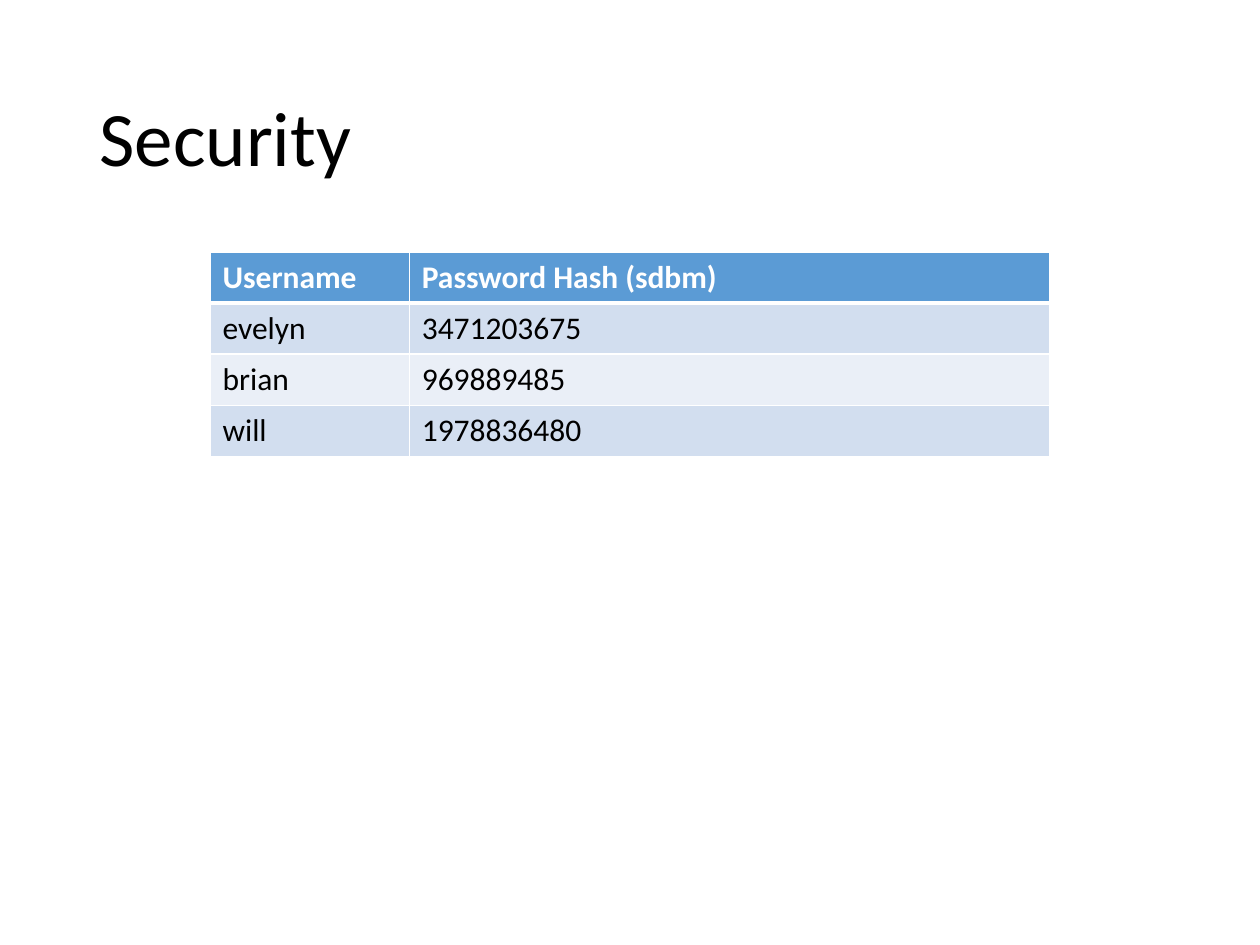
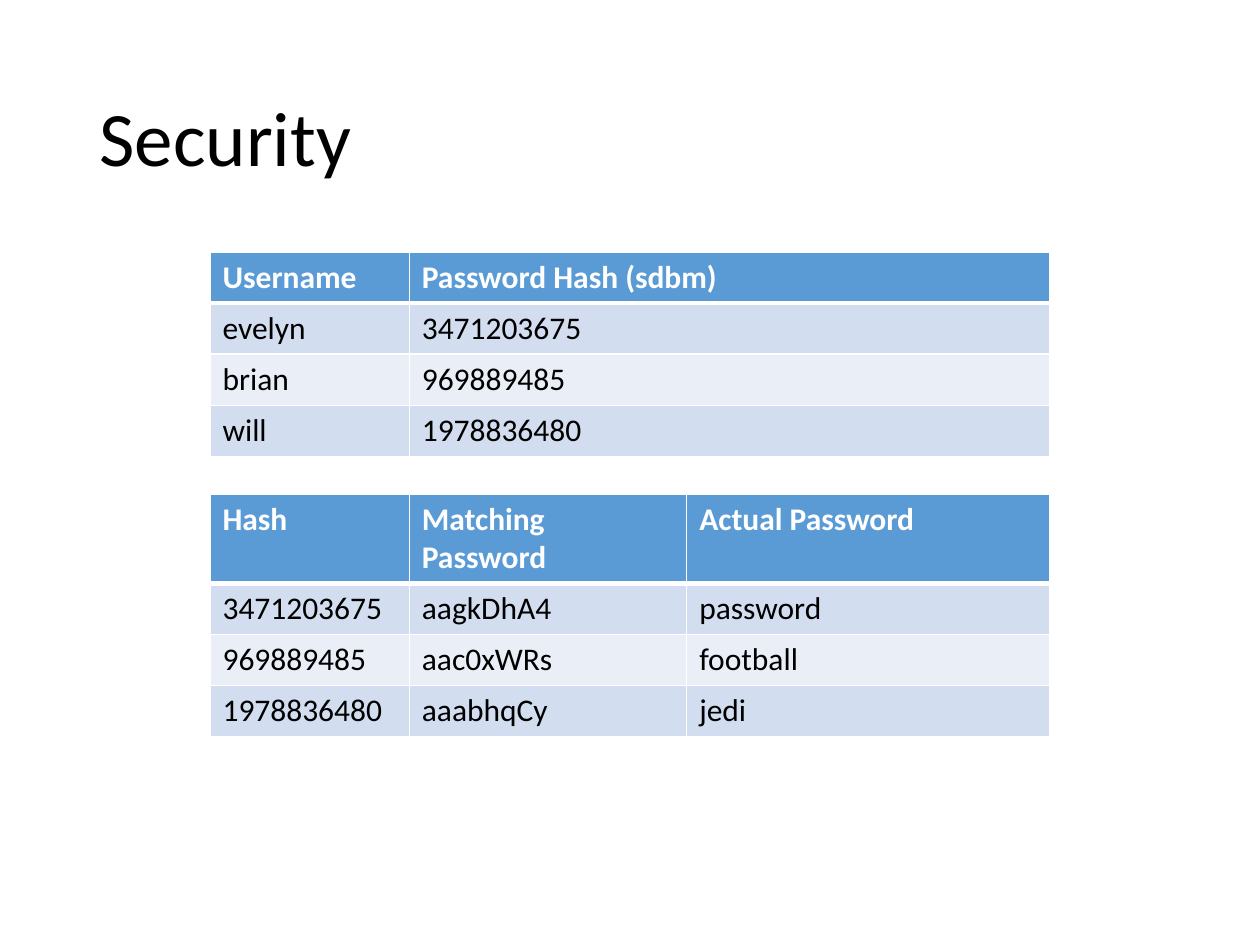
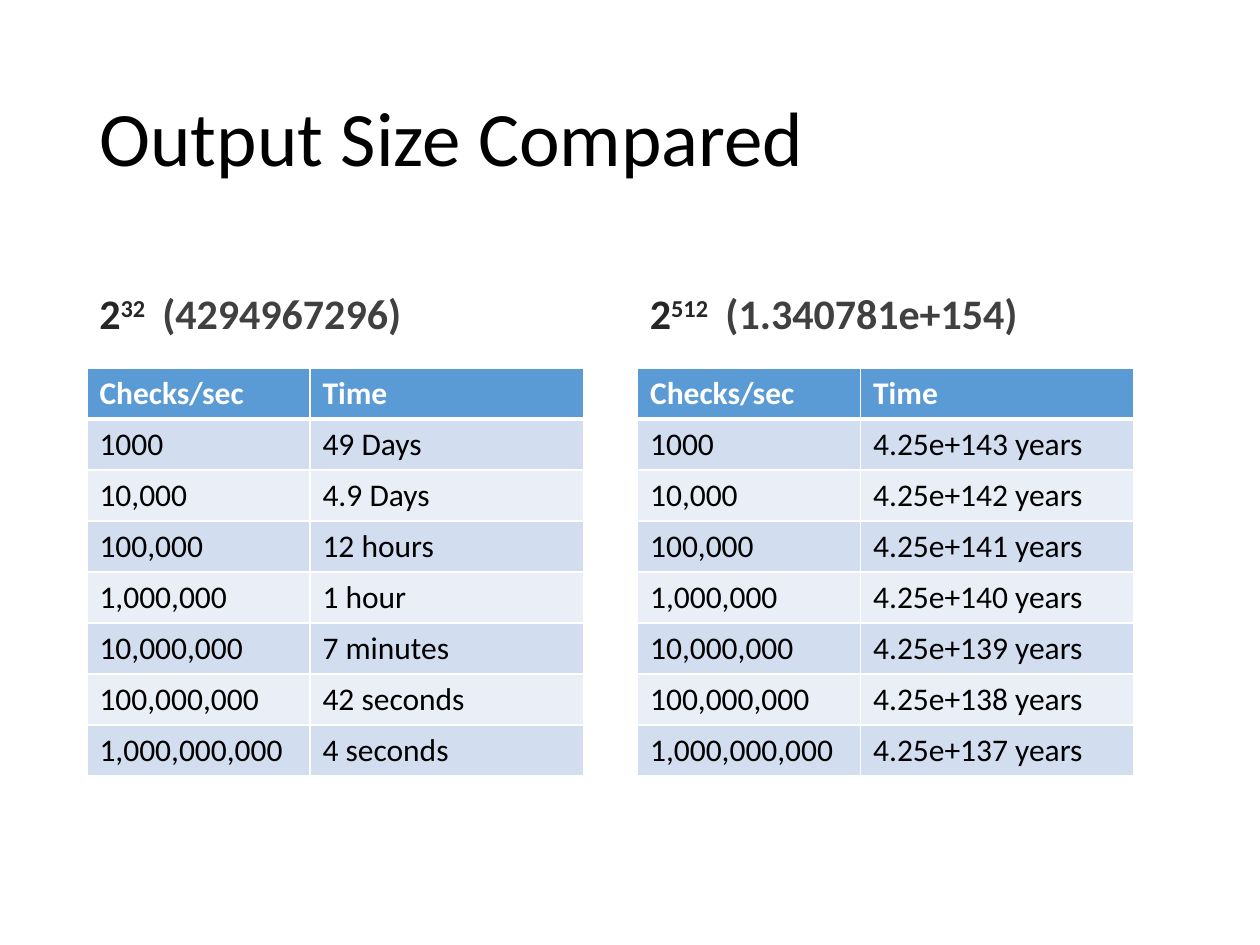
from pptx import Presentation, util as u
from pptx.dml.color import RGBColor
from pptx.enum import text
from pptx.oxml.ns import qn
from lxml import etree

# ---- Content ----
USERS = [
    ("Username", "Password Hash (sdbm)"),
    ("evelyn", "3471203675"),
    ("brian", "969889485"),
    ("will", "1978836480"),
]
MATCHES = [
    ("Hash", "Matching Password", "Actual Password"),
    ("3471203675", "aagkDhA4", "password"),
    ("969889485", "aac0xWRs", "football"),
    ("1978836480", "aaabhqCy", "jedi"),
]
RATES = [f"{10 ** power:,}" if power > 3 else "1000" for power in range(3, 10)]
SHORT_TIMES = ["49 Days", "4.9 Days", "12 hours", "1 hour",
               "7 minutes", "42 seconds", "4 seconds"]
LONG_TIMES = [f"4.25e+{exponent} years" for exponent in range(143, 136, -1)]
# exponent, value, times, tab stop before the value, heading width
COMPARISONS = [
    ("32", "(4294967296)", SHORT_TIMES, 0.5, 4.23),
    ("512", "(1.340781e+154)", LONG_TIMES, 0.6, 4.77),
]

# ---- Shared style and grid (inches) ----
COLORS = {
    "text": "000000", "base": "262626", "value": "404040", "white": "FFFFFF",
    "header": "5B9BD5", "odd": "D2DEEF", "even": "EAEFF7",
}
FONT = "Calibri"
WIDTH, HEIGHT = 10, 7.5
MARGIN = 0.69
TITLE_TOP, TITLE_HEIGHT = 0.4, 1.45
ROW = 1.62 / 4
TALL_ROW = 0.7
CENTER_LEFT, CENTER_WIDTH = WIDTH / 6, WIDTH * 2 / 3
USERS_TOP, MATCHES_TOP = 2, 3.92
HEADING_TOP, HEADING_HEIGHT = 1.84, 0.9
PAIR_TOP, PAIR_WIDTH, PAIR_STEP = 2.92, 3.94, 4.37


def add_run(paragraph, content, size, color, bold=False):
    """Add one formatted run and return it."""
    run = paragraph.add_run()
    run.text = content
    run.font.name = FONT
    run.font.size = u.Pt(size)
    run.font.bold = bold
    run.font.color.rgb = RGBColor.from_string(COLORS[color])
    return run


def add_slide(presentation, title):
    """Add a title-only slide with the shared title style."""
    slide = presentation.slides.add_slide(presentation.slide_layouts[5])
    shape = slide.shapes.title
    shape.left, shape.top = u.Inches(MARGIN), u.Inches(TITLE_TOP)
    shape.width, shape.height = u.Inches(WIDTH - 2 * MARGIN), u.Inches(TITLE_HEIGHT)
    shape.text_frame.vertical_anchor = text.MSO_ANCHOR.MIDDLE
    paragraph = shape.text_frame.paragraphs[0]
    paragraph.alignment = text.PP_ALIGN.LEFT
    paragraph.line_spacing = 0.9
    add_run(paragraph, title, 44, "text")
    return slide


def set_borders(cell, top, bottom):
    """Draw white borders; top and bottom widths are in points."""
    properties = cell._tc.get_or_add_tcPr()
    for side, points in (("L", 1), ("R", 1), ("T", top), ("B", bottom)):
        line = etree.SubElement(properties, qn(f"a:ln{side}"), w=str(u.Pt(points)))
        fill = etree.SubElement(line, qn("a:solidFill"))
        etree.SubElement(fill, qn("a:srgbClr"), val=COLORS["white"])


def add_table(slide, rows, left, top, width, weights, header_height=ROW):
    """Add a banded table whose columns share the width by weight."""
    height = header_height + ROW * (len(rows) - 1)
    table = slide.shapes.add_table(
        len(rows), len(weights), *map(u.Inches, (left, top, width, height))).table
    for column, weight in zip(table.columns, weights):
        column.width = u.Inches(width * weight / sum(weights))
    for index, values in enumerate(rows):
        is_header = index == 0
        table.rows[index].height = u.Inches(header_height if is_header else ROW)
        band = "header" if is_header else ("even", "odd")[index % 2]
        for column_index, value in enumerate(values):
            cell = table.cell(index, column_index)
            set_borders(cell, 3 if index == 1 else 1, 3 if is_header else 1)
            cell.fill.solid()
            cell.fill.fore_color.rgb = RGBColor.from_string(COLORS[band])
            add_run(cell.text_frame.paragraphs[0], value, 18,
                    "white" if is_header else "text", is_header)


def add_heading(slide, exponent, value, left, width, tab):
    """Add a power of two with its value after a tab stop."""
    box = slide.shapes.add_textbox(
        *map(u.Inches, (left, HEADING_TOP, width, HEADING_HEIGHT)))
    frame = box.text_frame
    frame.word_wrap = True
    frame.vertical_anchor = text.MSO_ANCHOR.BOTTOM
    paragraph = frame.paragraphs[0]
    paragraph.line_spacing = 0.9
    paragraph.space_before = u.Pt(10)
    stops = etree.SubElement(paragraph._p.get_or_add_pPr(), qn("a:tabLst"))
    etree.SubElement(stops, qn("a:tab"), pos=str(u.Inches(tab)), algn="l")
    add_run(paragraph, "2", 24, "base", True)
    power = add_run(paragraph, exponent, 24, "base", True)
    power.font._element.set("baseline", "30000")
    add_run(paragraph, "\t" + value, 24, "value", True)


def add_users(slide):
    """Add the table of users and hashes."""
    add_table(slide, USERS, CENTER_LEFT, USERS_TOP, CENTER_WIDTH, (1.58, 5.08))


presentation = Presentation()
presentation.slide_width, presentation.slide_height = u.Inches(WIDTH), u.Inches(HEIGHT)

add_users(add_slide(presentation, "Security"))

slide = add_slide(presentation, "Security")
add_table(slide, MATCHES, CENTER_LEFT, MATCHES_TOP, CENTER_WIDTH,
          (1.58, 2.2, 2.88), TALL_ROW)
add_users(slide)

slide = add_slide(presentation, "Output Size Compared")
for index, (exponent, value, times, tab, heading_width) in enumerate(COMPARISONS):
    left = MARGIN + index * PAIR_STEP
    add_heading(slide, exponent, value, left, heading_width, tab)
    add_table(slide, [("Checks/sec", "Time"), *zip(RATES, times)],
              left, PAIR_TOP, PAIR_WIDTH, (1.77, 2.17))

presentation.save("out.pptx")
